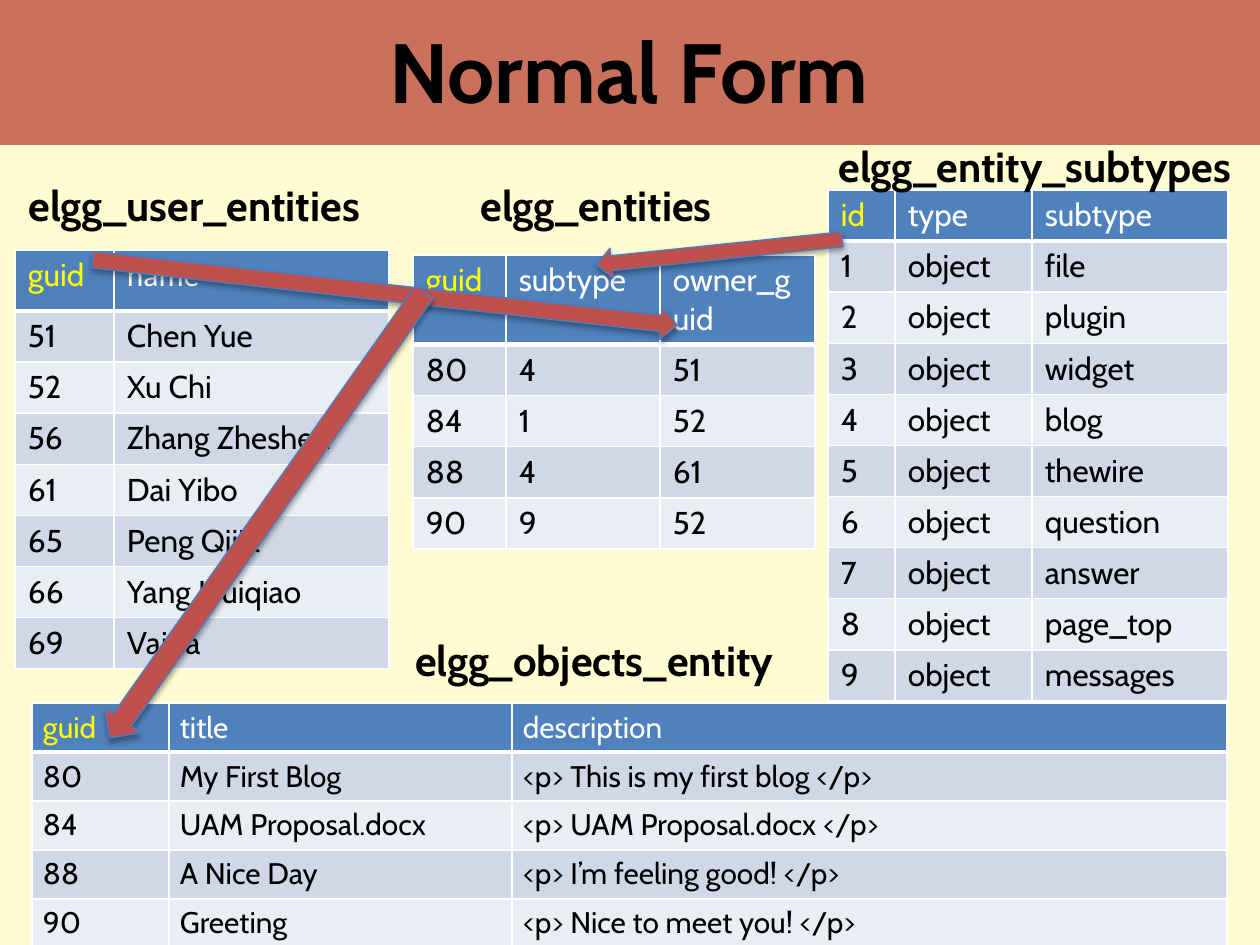
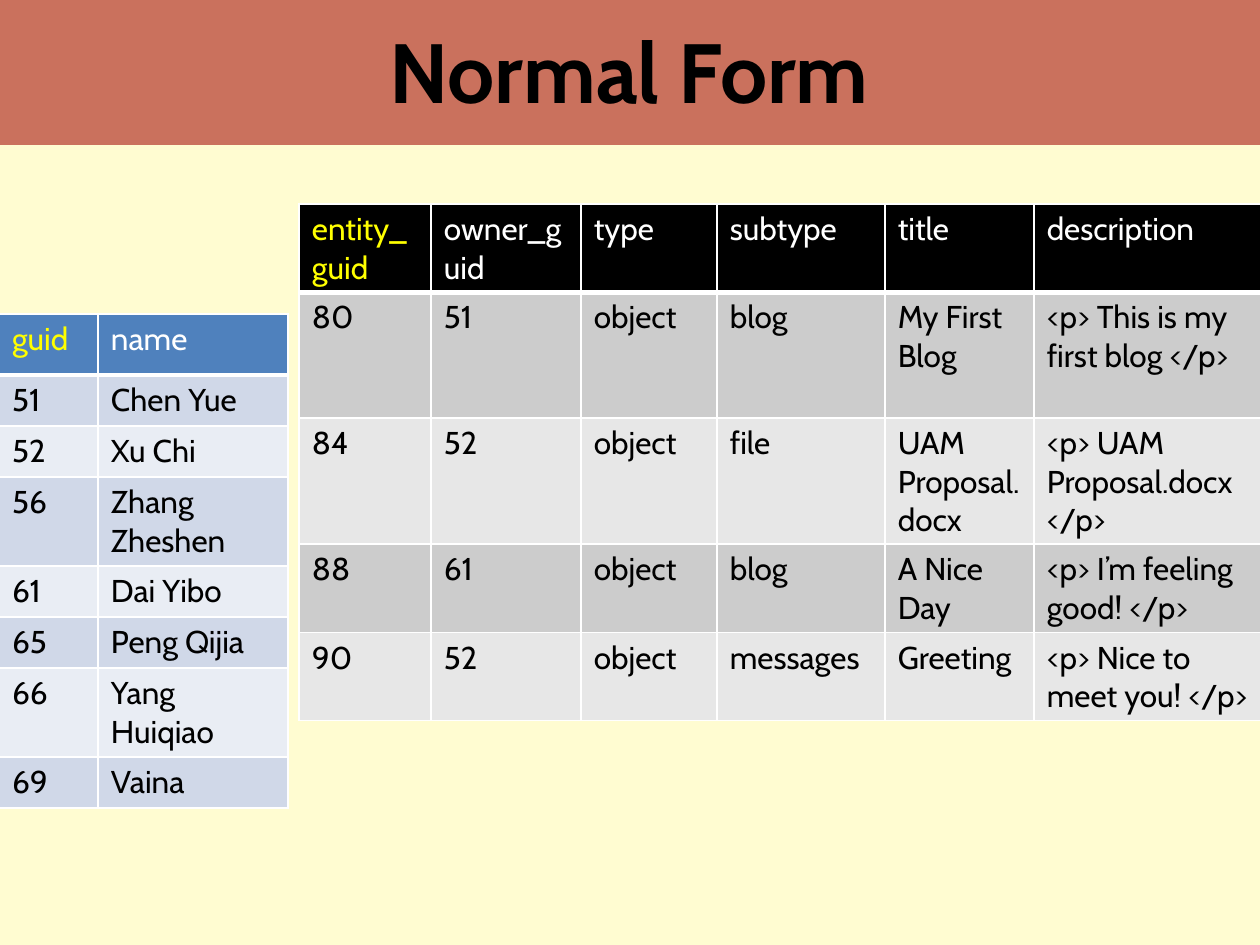
from lxml import etree
from pptx import Presentation
from pptx.dml.color import RGBColor
from pptx.enum.shapes import MSO_SHAPE
from pptx.enum.text import MSO_ANCHOR, MSO_AUTO_SIZE, PP_ALIGN
from pptx.oxml import parse_xml
from pptx.oxml.ns import nsdecls
from pptx.util import Inches, Pt

RECTANGLE = MSO_SHAPE.RECTANGLE
RIGHT_ARROW = MSO_SHAPE.RIGHT_ARROW
MIDDLE = MSO_ANCHOR.MIDDLE
CENTER = PP_ALIGN.CENTER
GROW = MSO_AUTO_SIZE.SHAPE_TO_FIT_TEXT

PX = 914400 // 126
FONT = "Cabin"
CREAM, BRICK, BLACK, WHITE, YELLOW = "FFFCD1", "CA715D", "000000", "FFFFFF", "FFFF00"
ARROW_FILL, ARROW_LINE = "C0504D", "4B7EBC"
BLUE_TABLE = ("4F81BD", "D0D8E8", "E9EDF4")
BLACK_TABLE = ("000000", "CCCCCC", "E7E7E7")
color = RGBColor.from_string

ARROW_SHADOW = f"""<a:effectLst {nsdecls("a")}>
  <a:outerShdw blurRad="39370" dist="22860" dir="5400000" rotWithShape="0">
    <a:srgbClr val="000000"><a:alpha val="35000"/></a:srgbClr>
  </a:outerShdw>
</a:effectLst>"""

USERS = [
    ("guid", "name"),
    ("51", "Chen Yue"),
    ("52", "Xu Chi"),
    ("56", "Zhang Zheshen"),
    ("61", "Dai Yibo"),
    ("65", "Peng Qijia"),
    ("66", "Yang Huiqiao"),
    ("69", "Vaina"),
]
ENTITIES = [
    ("guid", "subtype", "owner_guid"),
    ("80", "4", "51"),
    ("84", "1", "52"),
    ("88", "4", "61"),
    ("90", "9", "52"),
]
SUBTYPE_NAMES = ["file", "plugin", "widget", "blog", "thewire",
                 "question", "answer", "page_top", "messages"]
SUBTYPES = [("id", "type", "subtype")]
SUBTYPES += [(str(number), "object", name) for number, name in enumerate(SUBTYPE_NAMES, 1)]
OBJECTS = [
    ("guid", "title", "description"),
    ("80", "My First Blog", "<p> This is my first blog </p>"),
    ("84", "UAM Proposal.docx", "<p> UAM Proposal.docx </p>"),
    ("88", "A Nice Day", "<p> I’m feeling good! </p>"),
    ("90", "Greeting", "<p> Nice to meet you! </p>"),
]
JOINED = [("entity_guid", "owner_guid", "type", "subtype", "title", "description")]
for (guid, subtype, owner), (_, title, description) in zip(ENTITIES[1:], OBJECTS[1:]):
    JOINED.append((guid, owner, "object", SUBTYPE_NAMES[int(subtype) - 1], title, description))


def add_text(slide, text, left, top, width, height, size):
    """Add a bold one-line text box and return its shape."""
    shape = slide.shapes.add_textbox(left * PX, top * PX, width * PX, height * PX)
    run = shape.text_frame.paragraphs[0].add_run()
    run.text = text
    run.font.name, run.font.size, run.font.bold = FONT, Pt(size), True
    run.font.color.rgb = color(BLACK)
    return shape


def add_data_table(slide, records, left, top, widths, heights, fills, size=18, margin=13):
    """Add a table whose first record is the header and whose first header is the yellow key."""
    frame = slide.shapes.add_table(len(records), len(widths), left * PX, top * PX,
                                   sum(widths) * PX, sum(heights) * PX)
    table = frame.table
    for column, width in zip(table.columns, widths):
        column.width = width * PX
    for row, height in zip(table.rows, heights):
        row.height = height * PX
    header_fill, odd_fill, even_fill = fills
    for row_index, record in enumerate(records):
        is_header = row_index == 0
        fill = header_fill if is_header else odd_fill if row_index % 2 else even_fill
        for column_index, text in enumerate(record):
            cell = table.cell(row_index, column_index)
            cell.margin_left = cell.margin_right = margin * PX
            run = cell.text_frame.paragraphs[0].add_run()
            run.text = text
            run.font.name, run.font.size, run.font.bold = FONT, Pt(size), False
            text_color = BLACK
            if is_header:
                text_color = WHITE if column_index else YELLOW
            run.font.color.rgb = color(text_color)
            properties = cell._tc.get_or_add_tcPr()
            for side in ("lnL", "lnR", "lnT", "lnB"):
                points = 3 if is_header and side == "lnB" else 1
                properties.append(parse_xml(
                    f'<a:{side} {nsdecls("a")} w="{Pt(points)}"><a:solidFill>'
                    f'<a:srgbClr val="{WHITE}"/></a:solidFill></a:{side}>'))
            cell.fill.solid()
            cell.fill.fore_color.rgb = color(fill)
    return table


presentation = Presentation()
presentation.slide_width, presentation.slide_height = Inches(10), Inches(7.5)
background = presentation.slide_master.background.fill
background.solid()
background.fore_color.rgb = color(CREAM)

slides = []
for _ in range(2):
    slide = presentation.slides.add_slide(presentation.slide_layouts[6])
    band = slide.shapes.add_shape(RECTANGLE, 0, 0, presentation.slide_width, 145 * PX)
    band.shadow.inherit = False
    band.fill.solid()
    band.fill.fore_color.rgb = color(BRICK)
    band.line.fill.background()
    slides.append(slide)
schema_slide, joined_slide = slides

# Slide 1: four related tables
user_table = add_data_table(schema_slide, USERS, 15, 250, (99, 275), [61] + [51] * 7, BLUE_TABLE)
user_table.cell(0, 1).text_frame.paragraphs[0].runs[0].font.name = "Calibri"
add_data_table(schema_slide, ENTITIES, 413, 255, (93, 154, 155), [89] + [51] * 4, BLUE_TABLE)
add_data_table(schema_slide, SUBTYPES, 828, 190, (67, 137, 196), [51] * 10, BLUE_TABLE)
add_data_table(schema_slide, OBJECTS, 32, 703, (137, 343, 715), [47] * 5, BLUE_TABLE,
               size=17, margin=11)

for name, left, top, width in (
    ("elgg_user_entities", 16, 173, 387),
    ("elgg_entities", 468, 173, 272),
    ("elgg_entity_subtypes", 826, 134, 436),
    ("elgg_objects_entity", 403, 628, 402),
):
    label = add_text(schema_slide, name, left, top, width, 63, 24)
    label.text_frame.word_wrap = False
    label.text_frame.auto_size = GROW

for left, top, width, height, angle in (
    (91, 276, 588, 33, 6.4),
    (-6, 493, 546, 44, 125.2),
    (596, 237, 247, 30, 174.1),
):
    arrow = schema_slide.shapes.add_shape(RIGHT_ARROW, left * PX, top * PX, width * PX, height * PX)
    arrow.rotation = angle
    arrow.fill.solid()
    arrow.fill.fore_color.rgb = color(ARROW_FILL)
    arrow.line.color.rgb = color(ARROW_LINE)
    arrow.line.width = Pt(0.75)
    arrow._element.spPr.append(etree.fromstring(ARROW_SHADOW))

# Slide 2: users beside the joined table
add_data_table(joined_slide, JOINED, 299, 204, (132, 150, 136, 168, 149, 227),
               (88, 126, 126, 88, 88), BLACK_TABLE)
add_data_table(joined_slide, USERS, -1, 314, (99, 190),
               (61, 51, 51, 89, 51, 51, 89, 51), BLUE_TABLE)

for slide in slides:
    heading = add_text(slide, "Normal Form", 64, 0, 1130, 140, 48)
    heading.text_frame.word_wrap = True
    heading.text_frame.vertical_anchor = MIDDLE
    heading.text_frame.paragraphs[0].alignment = CENTER

presentation.save("out.pptx")
